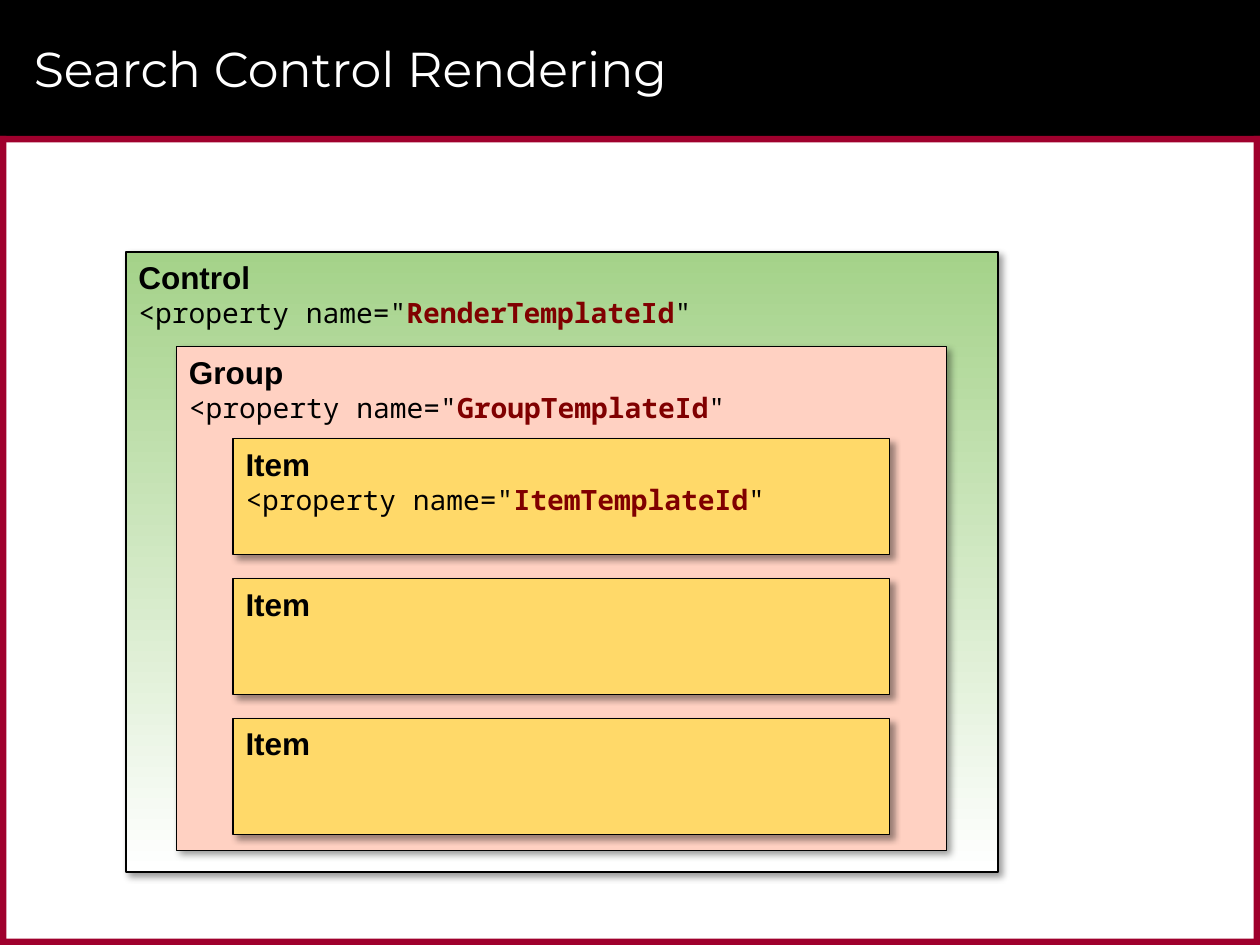
from dataclasses import dataclass

from lxml import etree
from pptx import Presentation
from pptx import util as u
from pptx.dml.color import RGBColor
from pptx.enum import shapes, text
from pptx.oxml import ns


@dataclass(frozen=True)
class Theme:
    black: str = "000000"
    white: str = "FFFFFF"
    frame: str = "9F002D"
    control: str = "A4D289"
    group: str = "FFD1C2"
    item: str = "FFD969"
    accent: str = "800000"
    title_font: str = "Montserrat"
    label_font: str = "Arial"
    code_font: str = "Noto Sans Mono"
    title_size: int = 28
    label_size: int = 18
    code_size: int = 16


def add_run(paragraph, content, *, font, size, color, bold=False):
    run = paragraph.add_run()
    run.text = content
    run.font.name = font
    run.font.size = u.Pt(size)
    run.font.bold = bold
    run.font.color.rgb = RGBColor.from_string(color)


class SlideBuilder:
    def __init__(self, slide, theme):
        self.slide = slide
        self.theme = theme

    def rectangle(self, left, top, width, height, color):
        shape = self.slide.shapes.add_shape(
            shapes.MSO_SHAPE.RECTANGLE,
            u.Cm(left), u.Cm(top), u.Cm(width), u.Cm(height),
        )
        shape.shadow.inherit = False
        shape.fill.solid()
        shape.fill.fore_color.rgb = RGBColor.from_string(color)
        shape.line.fill.background()
        return shape

    def title(self, content):
        title = self.slide.shapes.title
        self.slide.shapes._spTree.append(title._element)
        title.left, title.top = u.Cm(0.43), u.Cm(0.2)
        title.width, title.height = u.Cm(23.93), u.Cm(2.34)
        frame = title.text_frame
        frame.vertical_anchor = text.MSO_ANCHOR.MIDDLE
        paragraph = frame.paragraphs[0]
        paragraph.alignment = text.PP_ALIGN.LEFT
        add_run(paragraph, content, font=self.theme.title_font,
                size=self.theme.title_size, color=self.theme.white)

    def drop_shadow(self, shape):
        effects = shape._element.spPr.find(ns.qn("a:effectLst"))
        shadow = etree.SubElement(
            effects, ns.qn("a:outerShdw"), blurRad=str(u.Pt(4)),
            dist=str(u.Pt(3)), dir=str(45 * 60000), rotWithShape="0",
        )
        color = etree.SubElement(shadow, ns.qn("a:srgbClr"), val=self.theme.black)
        etree.SubElement(color, ns.qn("a:alpha"), val="40000")

    def gradient(self, shape, colors):
        shape.fill.gradient()
        shape.fill.gradient_angle = 270
        for stop, color in zip(shape.fill.gradient_stops, colors):
            stop.color.rgb = RGBColor.from_string(color)

    def template_box(self, left, top, width, height, color, label, template=None):
        theme = self.theme
        shape = self.rectangle(left, top, width, height, color)
        shape.line.color.rgb = RGBColor.from_string(theme.black)
        shape.line.width = u.Pt(0.75)
        self.drop_shadow(shape)
        frame = shape.text_frame
        frame.word_wrap = False
        frame.vertical_anchor = text.MSO_ANCHOR.TOP
        paragraph = frame.paragraphs[0]
        paragraph.alignment = text.PP_ALIGN.LEFT
        add_run(paragraph, label, font=theme.label_font,
                size=theme.label_size, color=theme.black, bold=True)
        if template:
            paragraph = frame.add_paragraph()
            paragraph.alignment = text.PP_ALIGN.LEFT
            code = {"font": theme.code_font, "size": theme.code_size}
            add_run(paragraph, '<property name="', color=theme.black, **code)
            add_run(paragraph, template, color=theme.accent, bold=True, **code)
            add_run(paragraph, '"', color=theme.black, **code)
        return shape


def main():
    theme = Theme()
    width, height, header, border = 25.4, 19.05, 2.74, 0.13
    presentation = Presentation()
    presentation.slide_width = u.Cm(width)
    presentation.slide_height = u.Cm(height)
    slide = presentation.slides.add_slide(presentation.slide_layouts[5])
    builder = SlideBuilder(slide, theme)

    builder.rectangle(0, 0, width, header, theme.black)
    for top in (header, height - border):
        builder.rectangle(0, top, width, border, theme.frame)
    for left in (0, width - border):
        builder.rectangle(left, header, border, height - header, theme.frame)
    builder.title("Search Control Rendering")

    control = builder.template_box(2.54, 5.08, 17.58, 12.5, theme.control,
                                   "Control", "RenderTemplateId")
    builder.gradient(control, (theme.control, theme.white))
    builder.template_box(3.56, 6.99, 15.52, 10.16, theme.group,
                         "Group", "GroupTemplateId")
    for index, template in enumerate(("ItemTemplateId", None, None)):
        builder.template_box(4.7, 8.84 + 2.82 * index, 13.23, 2.34, theme.item,
                             "Item", template)

    presentation.save("out.pptx")


if __name__ == "__main__":
    main()
